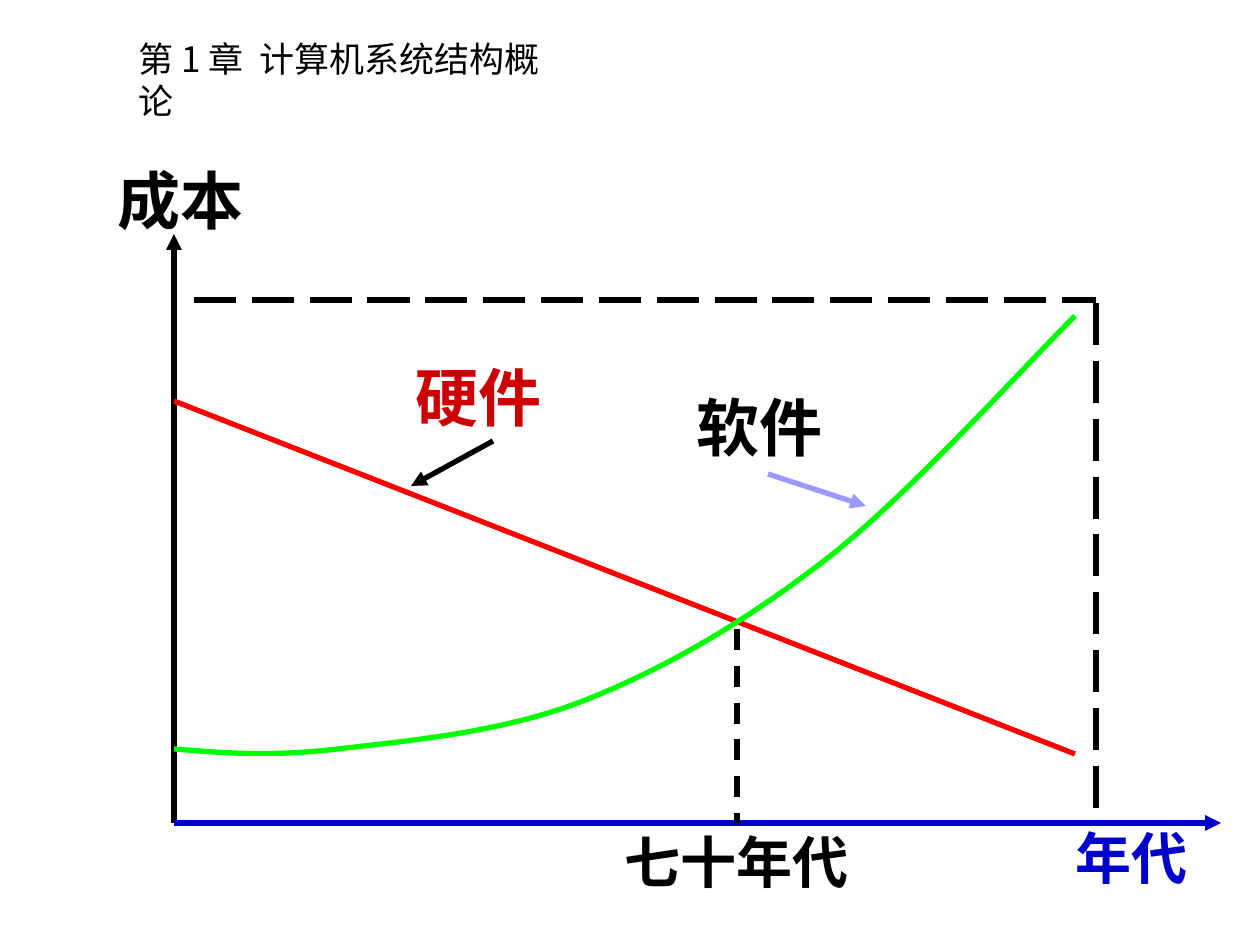
from lxml.etree import SubElement
from pptx import Presentation
from pptx.dml.color import RGBColor
from pptx.enum.dml import MSO_LINE_DASH_STYLE as Dash
from pptx.enum.shapes import MSO_CONNECTOR as Connector
from pptx.enum.text import MSO_ANCHOR as Anchor, PP_ALIGN as Align
from pptx.oxml.ns import qn
from pptx.util import Pt

EMU_PER_PX = 914400 / 126
CJK_FONT = "Noto Sans CJK SC"
LABEL_FONT = "TeX Gyre Pagella"
COLORS = {
    "black": "000000",
    "axis_blue": "0000CC",
    "hardware_line": "FF0000",
    "hardware_text": "CC0000",
    "software_line": "00FF00",
    "software_arrow": "9999FF",
}
ORIGIN = (174, 823)
SOFTWARE_CURVE = [
    (174, 749),
    (222, 753), (270, 757), (338, 749),
    (406, 741), (501, 733), (583, 701),
    (665, 669), (747, 621), (829, 557),
    (911, 493), (1034, 356), (1075, 316),
]


def px(length):
    return round(length * EMU_PER_PX)


def color(name):
    return RGBColor.from_string(COLORS[name])


def style_line(line, color_name):
    line.color.rgb = color(color_name)
    line.width = Pt(3)


def add_line(slide, start, end, color_name="black", dash=None, arrow=False):
    connector = slide.shapes.add_connector(
        Connector.STRAIGHT, *map(px, start + end))
    style_line(connector.line, color_name)
    if dash:
        connector.line.dash_style = dash
    if arrow:
        SubElement(connector.line._get_or_add_ln(), qn("a:tailEnd"), type="triangle")
    SubElement(connector._element.spPr, qn("a:effectLst"))


def add_curve(slide, points, color_name):
    """Draw cubic Bézier segments: a start, then three points per segment."""
    builder = slide.shapes.build_freeform(*points[0], scale=EMU_PER_PX)
    builder.add_line_segments(points[1:], close=False)
    shape = builder.convert_to_shape()
    shape.shadow.inherit = False
    shape.fill.background()
    style_line(shape.line, color_name)

    outline = next(shape._element.iter(qn("a:path")))
    segments = outline.findall(qn("a:lnTo"))
    for first in range(0, len(segments), 3):
        bezier = SubElement(outline, qn("a:cubicBezTo"))
        for segment in segments[first:first + 3]:
            bezier.append(segment[0])
            outline.remove(segment)


def add_text(slide, text, left, top, width, height, size, font_name, color_name):
    box = slide.shapes.add_textbox(*map(px, (left, top, width, height)))
    paragraph = box.text_frame.paragraphs[0]
    paragraph.text = text
    font = paragraph.font
    font.size = Pt(size)
    font.color.rgb = color(color_name)
    font.name = font_name
    SubElement(font._element, qn("a:ea"), typeface=CJK_FONT)
    return box.text_frame


def add_label(slide, text, center, top, width, size=36, color_name="black"):
    frame = add_text(slide, text, center - width / 2, top, width, 49,
                     size, LABEL_FONT, color_name)
    frame.margin_left = frame.margin_right = 0
    frame.margin_top = frame.margin_bottom = 0
    frame.word_wrap = False
    frame.vertical_anchor = Anchor.MIDDLE
    paragraph = frame.paragraphs[0]
    paragraph.alignment = Align.CENTER
    paragraph.font.bold = True


def add_chapter_title(slide):
    frame = add_text(slide, "第 1 章  计算机系统结构概论", 126, 31, 459, 55,
                     20, CJK_FONT, "black")
    frame.word_wrap = True


def add_axes(slide):
    add_line(slide, ORIGIN, (174, 234), arrow=True)
    add_line(slide, ORIGIN, (1221, 823), "axis_blue", arrow=True)
    add_line(slide, (194, 300), (1096, 300), dash=Dash.LONG_DASH)
    add_line(slide, (1096, 303), (1096, 816), dash=Dash.LONG_DASH)


def add_cost_curves(slide):
    add_line(slide, (174, 401), (1075, 754), "hardware_line")
    add_curve(slide, SOFTWARE_CURVE, "software_line")
    add_line(slide, (493, 441), (411, 486), arrow=True)
    add_line(slide, (768, 474), (866, 506), "software_arrow", arrow=True)
    add_line(slide, (737, 629), (737, 823), dash=Dash.DASH)


def add_labels(slide):
    add_label(slide, "七十年代", 737, 837, 228, size=32)
    add_label(slide, "硬件", 478, 372, 130, color_name="hardware_text")
    add_label(slide, "软件", 759, 402, 130)
    add_label(slide, "成本", 180, 175, 130)
    add_label(slide, "年代", 1132, 833, 116, size=32, color_name="axis_blue")


def main():
    presentation = Presentation()
    presentation.slide_width = px(1260)
    presentation.slide_height = px(945)
    slide = presentation.slides.add_slide(presentation.slide_layouts[6])
    add_chapter_title(slide)
    add_axes(slide)
    add_cost_curves(slide)
    add_labels(slide)
    presentation.save("out.pptx")


if __name__ == "__main__":
    main()
